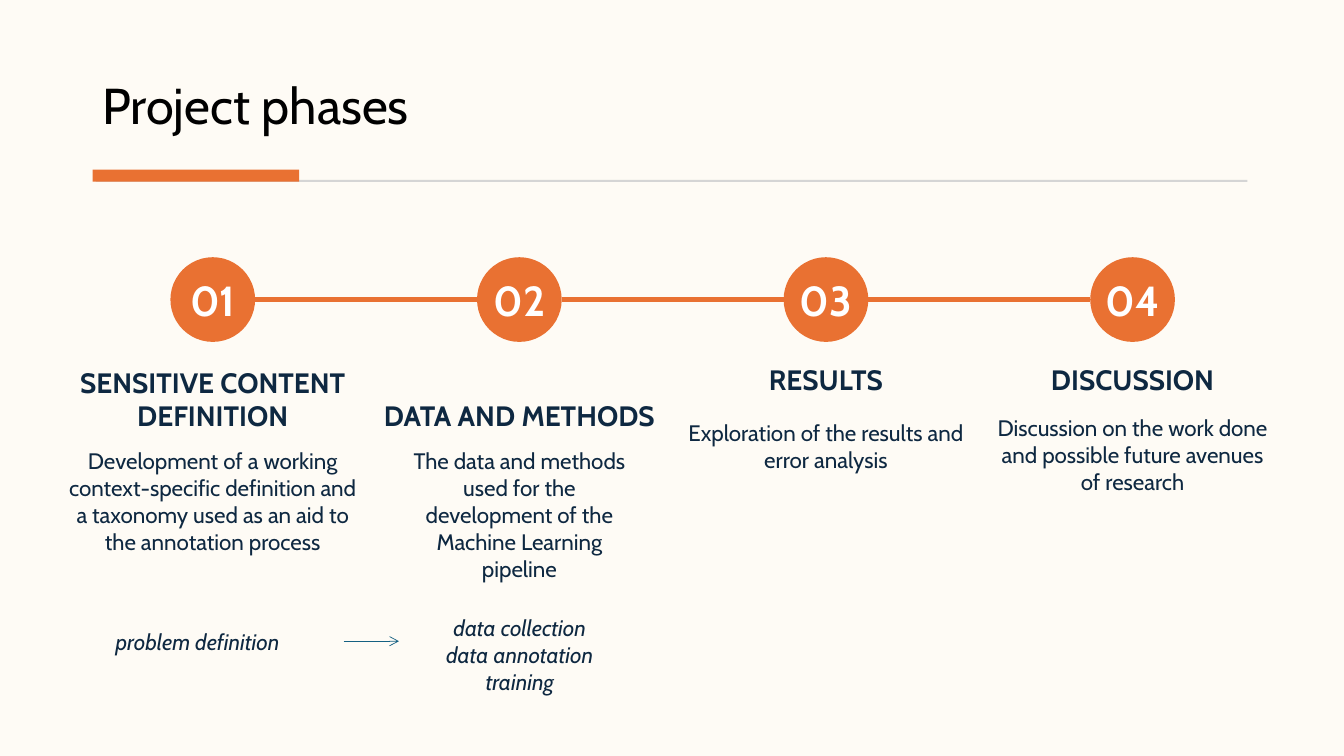
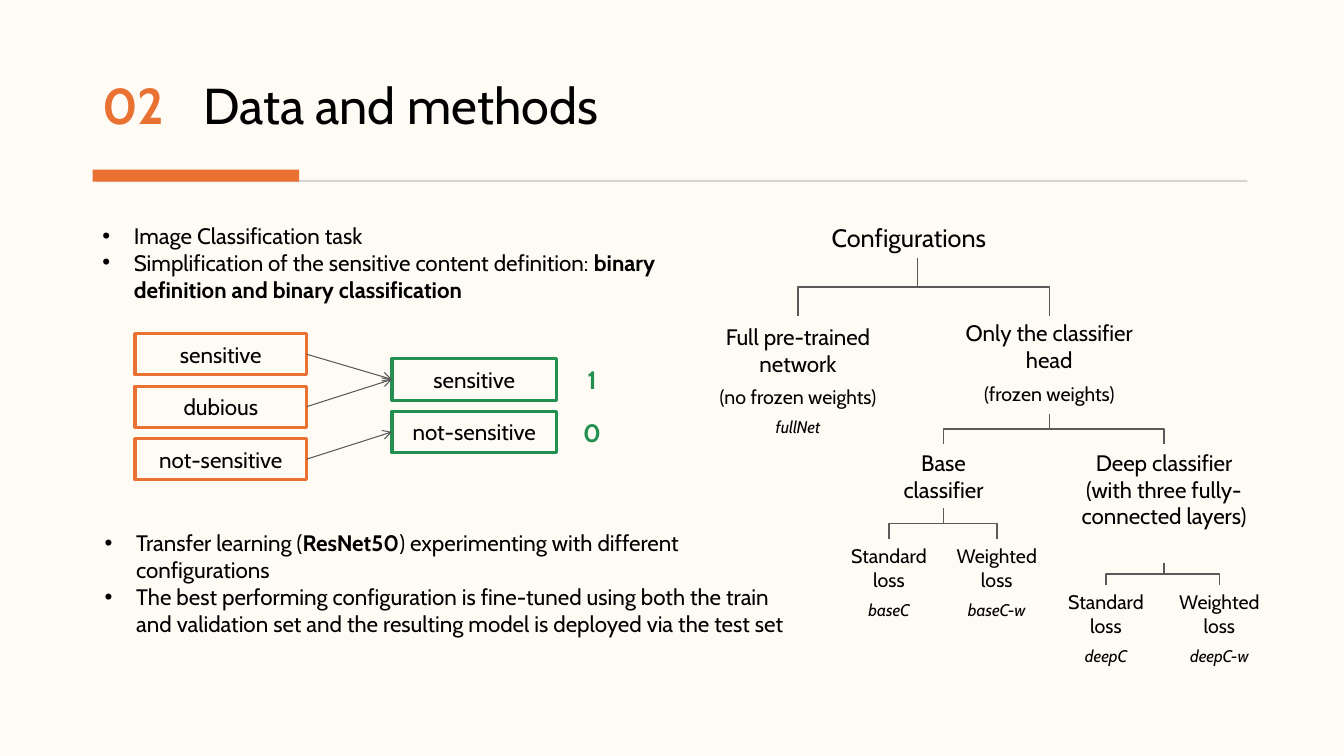
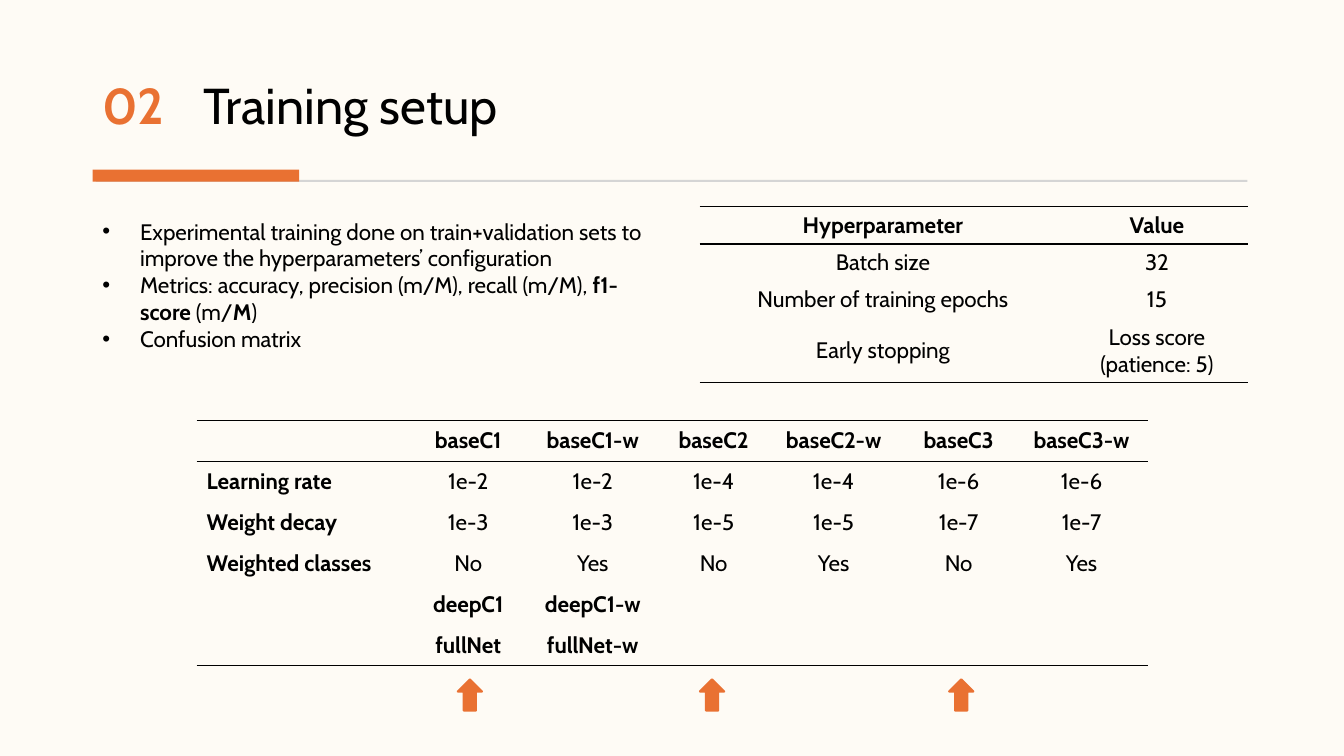
from lxml.etree import SubElement
from pptx import Presentation
from pptx.dml.color import RGBColor
from pptx.enum.shapes import MSO_CONNECTOR, MSO_SHAPE
from pptx.enum.text import MSO_ANCHOR, PP_ALIGN
from pptx.oxml.ns import qn
from pptx.util import Pt

CREAM, ORANGE, GREEN, NAVY = "FEFBF5", "E97132", "238F51", "0E2841"
BLUE, GREY, SILVER, BLACK, WHITE = "156082", "595959", "D5D5D5", "000000", "FFFFFF"
color = RGBColor.from_string
BOLD = {"bold": True}
CENTER = {"alignment": PP_ALIGN.CENTER}
MIDDLE = {"vertical_anchor": MSO_ANCHOR.MIDDLE}
BOTTOM = {"vertical_anchor": MSO_ANCHOR.BOTTOM}
NO_GRID_STYLE = "{2D5ABB26-0587-4C30-8999-92F81FD0307C}"


def write(frame, paragraphs, size=16, ink=BLACK, font=None, layout=None, block=None, indent=0, gap=0):
    """Fill a text frame; a paragraph is a string or a list of (text, font format) spans."""
    for name, value in {"word_wrap": True, **(block or {})}.items():
        setattr(frame, name, value)
    for index, spans in enumerate(paragraphs):
        para = frame.add_paragraph() if index else frame.paragraphs[0]
        for name, value in (layout or {}).items():
            setattr(para, name, value)
        if index and gap:
            para.space_before = Pt(gap)
        if indent:
            properties = para._p.get_or_add_pPr()
            properties.set("marL", str(Pt(indent)))
            properties.set("indent", str(Pt(-indent)))
            SubElement(properties, qn("a:buFont"), typeface="Arial")
            SubElement(properties, qn("a:buChar"), char="•")
        for text, changes in [(spans, {})] if isinstance(spans, str) else spans:
            span = para.add_run()
            span.text = text
            look = {"name": "Cabin", "size": Pt(size), "ink": ink, **(font or {}), **changes}
            span.font.color.rgb = color(look.pop("ink"))
            for name, value in look.items():
                setattr(span.font, name, value)


def draw_line(page, start, end, ink, width, kind=MSO_CONNECTOR.STRAIGHT, arrow=False):
    line = page.shapes.add_connector(kind, *map(Pt, (*start, *end)))
    line.line.color.rgb = color(ink)
    line.line.width = Pt(width)
    if arrow:
        SubElement(line.line._get_or_add_ln(), qn("a:tailEnd"), type="arrow")
    SubElement(line.element.spPr, qn("a:effectLst"))
    return line


deck = Presentation()
deck.slide_width, deck.slide_height = Pt(960), Pt(540)
background = deck.slide_master.background.fill
background.solid()
background.fore_color.rgb = color(CREAM)

# Pages with their shared title and band
number = ("02\t", {"ink": ORANGE, "bold": True})
pages = []
for title in (
    ["Project phases"],
    [[number, ("Data and methods", {})]],
    [[number, ("Training setup", {})]],
):
    page = deck.slides.add_slide(deck.slide_layouts[6])
    box = page.shapes.add_textbox(Pt(66), Pt(37.5), Pt(827), Pt(62.5))
    write(box.text_frame, title, 36, layout={"line_spacing": 0.9}, block=BOTTOM)
    for place, ink in (((68.5, 128.5, 822.5, 1.5), SILVER), ((66.2, 121.2, 147.5, 8.5), ORANGE)):
        band = page.shapes.add_shape(MSO_SHAPE.RECTANGLE, *map(Pt, place))
        band.shadow.inherit = False
        band.fill.solid()
        band.fill.fore_color.rgb = color(ink)
        band.line.fill.background()
    pages.append(page)
phases_page, methods_page, training_page = pages

# Project phases
first_center, pitch, diameter, axis = 152, 219, 60.5, 214
phases = [
    ("SENSITIVE CONTENT DEFINITION", 57, 316, 221,
     "Development of a working context-specific definition and a taxonomy used as an aid to the annotation process"),
    ("DATA AND METHODS", 57, 316, 176,
     "The data and methods used for the development of the Machine Learning pipeline"),
    ("RESULTS", 31, 296, 221, "Exploration of the results and error analysis"),
    ("DISCUSSION", 31, 292.5, 216,
     "Discussion on the work done and possible future avenues of research"),
]
for index, (heading, heading_height, top, width, description) in enumerate(phases):
    center = first_center + index * pitch
    circle = phases_page.shapes.add_shape(
        MSO_SHAPE.OVAL, Pt(center - diameter / 2), Pt(axis - diameter / 2), Pt(diameter), Pt(diameter))
    circle.shadow.inherit = False
    circle.fill.solid()
    circle.fill.fore_color.rgb = color(ORANGE)
    circle.line.fill.background()
    write(circle.text_frame, [f"{index + 1:02}"], 30, WHITE, BOLD, CENTER, {**MIDDLE, "word_wrap": False})
    if index:
        draw_line(phases_page, (center - pitch + diameter / 2, axis), (center - diameter / 2, axis), ORANGE, 3)
    box = phases_page.shapes.add_textbox(Pt(center - 108), Pt(255.5), Pt(216), Pt(heading_height))
    write(box.text_frame, [heading], 20, NAVY, BOLD, CENTER, BOTTOM)
    box = phases_page.shapes.add_textbox(Pt(center - width / 2), Pt(top), Pt(width), Pt(106))
    write(box.text_frame, [description], ink=NAVY, layout=CENTER)

for place, steps, layout in (
    ((75.5, 445, 152.5, 26.5), ["problem definition"], {}),
    ((305, 435, 132.5, 65.5), ["data collection", "data annotation", "training"], CENTER),
):
    box = phases_page.shapes.add_textbox(*map(Pt, place))
    write(box.text_frame, steps, ink=NAVY, font={"italic": True}, layout=layout)
draw_line(phases_page, (245.5, 458), (285, 458), BLUE, 0.5, arrow=True)

# Bulleted lists
for page, place, indent, points in (
    (methods_page, (66, 155, 447, 65.5), 22.5, [
        "Image Classification task",
        [("Simplification of the sensitive content definition: ", {}),
         ("binary definition and binary classification", BOLD)],
    ]),
    (methods_page, (67.7, 374.5, 507.5, 124), 22.5, [
        [("Transfer learning (", {}), ("ResNet50", BOLD), (") experimenting with different configurations", {})],
        "The best performing configuration is fine-tuned using both the train and validation set "
        "and the resulting model is deployed via the test set",
    ]),
    (training_page, (66, 152, 414, 124), 27, [
        "Experimental training done on train+validation sets to improve the hyperparameters’ configuration",
        [("Metrics: accuracy, precision (m/M), recall (m/M), ", {}), ("f1-score", BOLD),
         (" (m/", {}), ("M", BOLD), (")", {})],
        "Confusion matrix",
    ]),
):
    box = page.shapes.add_textbox(*map(Pt, place))
    write(box.text_frame, points, indent=indent)

# Mapping of three classes to two
box_height, box_pitch = 29.5, 37.5
for left, top, width, ink, labels in (
    (96.5, 238.3, 122.5, ORANGE, ["sensitive", "dubious", "not-sensitive"]),
    (280, 256.3, 117.5, GREEN, ["sensitive", "not-sensitive"]),
):
    for index, label in enumerate(labels):
        box = methods_page.shapes.add_shape(
            MSO_SHAPE.RECTANGLE, Pt(left), Pt(top + index * box_pitch), Pt(width), Pt(box_height))
        box.shadow.inherit = False
        box.fill.background()
        box.line.color.rgb = color(ink)
        box.line.width = Pt(2.25)
        write(box.text_frame, [label], layout=CENTER, block=MIDDLE)
for index, digit in enumerate("10"):
    box = methods_page.shapes.add_textbox(Pt(408), Pt(256.3 + index * box_pitch), Pt(30), Pt(box_height))
    write(box.text_frame, [digit], 18, GREEN, BOLD, CENTER, MIDDLE)
for start, end in ((253, 271), (290.5, 271), (328, 308.5)):
    draw_line(methods_page, (219, start), (280, end), GREY, 0.75, arrow=True)

# Tree of configurations
box = methods_page.shapes.add_textbox(Pt(587), Pt(155), Pt(137.5), Pt(29))
write(box.text_frame, ["Configurations"], 18)
nodes = [
    (570, 227, 145, 16, "Full pre-trained network", "(no frozen weights)", "fullNet"),
    (749.5, 224.5, 145, 16, "Only the classifier head", "(frozen weights)", ""),
    (674, 317, 103, 16, "Base classifier", "", ""),
    (831.5, 317, 144, 16, "Deep classifier (with three fully-connected layers)", "", ""),
    (635, 385, 79, 14, "Standard loss", "", "baseC"),
    (712, 385, 79, 14, "Weighted loss", "", "baseC-w"),
    (790, 418, 79, 14, "Standard loss", "", "deepC"),
    (871, 418, 79, 14, "Weighted loss", "", "deepC-w"),
]
for center, top, width, size, label, note, model in nodes:
    lines = [label]
    if note:
        lines.append([(note, {"size": Pt(14)})])
    if model:
        lines.append([(model, {"size": Pt(12), "italic": True})])
    box = methods_page.shapes.add_textbox(Pt(center - width / 2), Pt(top), Pt(width), Pt(62))
    write(box.text_frame, lines, size, layout=CENTER, gap=6)

for stem, top, bottom, children in (
    (655.5, 184, 226, (570, 749.5)),
    (749.5, 296, 317, (674, 831.5)),
    (674, 363, 385, (635, 712)),
    (831.5, 402, 418, (790, 871)),
):
    for child in children:
        # The elbow is laid out sideways about its middle, then turned upright
        middle_x, middle_y = (stem + child) / 2, (top + bottom) / 2
        half_width = (bottom - top) / 2 * (1 if child < stem else -1)
        half_height = abs(child - stem) / 2
        elbow = draw_line(methods_page, (middle_x - half_width, middle_y - half_height),
                          (middle_x + half_width, middle_y + half_height), GREY, 1, MSO_CONNECTOR.ELBOW)
        degrees = 90 if child < stem else 270
        elbow.element.spPr.get_or_add_xfrm().set("rot", str(degrees * 60000))

# Training tables
for left, top, widths, heights, bold_rows, has_row_names, rows in (
    (499.7, 147.6, [262, 129.5], [26.7, 26.7, 26.7, 45.2], {0}, False, [
        ["Hyperparameter", "Value"],
        ["Batch size", "32"],
        ["Number of training epochs", "15"],
        ["Early stopping", "Loss score (patience: 5)"],
    ]),
    (140.4, 300.2, [154.8, 78.5, 99.4, 73.4, 98, 80.6, 95], [29.2] * 6, {0, 4, 5}, True, [
        ["", "baseC1", "baseC1-w", "baseC2", "baseC2-w", "baseC3", "baseC3-w"],
        ["Learning rate", "1e-2", "1e-2", "1e-4", "1e-4", "1e-6", "1e-6"],
        ["Weight decay", "1e-3", "1e-3", "1e-5", "1e-5", "1e-7", "1e-7"],
        ["Weighted classes", "No", "Yes", "No", "Yes", "No", "Yes"],
        ["", "deepC1", "deepC1-w", "", "", "", ""],
        ["", "fullNet", "fullNet-w", "", "", "", ""],
    ]),
):
    table = training_page.shapes.add_table(
        len(rows), len(widths), Pt(left), Pt(top), Pt(sum(widths)), Pt(sum(heights))).table
    table.first_row = table.horz_banding = False
    table._tbl.tblPr.find(qn("a:tableStyleId")).text = NO_GRID_STYLE
    for column, width in zip(table.columns, widths):
        column.width = Pt(width)
    for row_index, (values, height) in enumerate(zip(rows, heights)):
        table.rows[row_index].height = Pt(height)
        edges = {0: ("a:lnT", "a:lnB"), len(rows) - 1: ("a:lnB",)}.get(row_index, ())
        for column_index, value in enumerate(values):
            cell = table.cell(row_index, column_index)
            for edge in edges:
                border = SubElement(cell._tc.get_or_add_tcPr(), qn(edge), w=str(Pt(1)))
                SubElement(SubElement(border, qn("a:solidFill")), qn("a:srgbClr"), val=BLACK)
            cell.fill.background()
            cell.vertical_anchor = MSO_ANCHOR.MIDDLE
            is_row_name = has_row_names and column_index == 0
            if value:
                write(cell.text_frame, [value], font={"bold": is_row_name or row_index in bold_rows},
                      layout={} if is_row_name else CENTER)

for left in (327, 500, 678):
    arrow = training_page.shapes.add_shape(MSO_SHAPE.UP_ARROW, Pt(left), Pt(485.3), Pt(17.3), Pt(22.3))
    arrow.shadow.inherit = False
    arrow.fill.solid()
    arrow.fill.fore_color.rgb = color(ORANGE)
    arrow.line.color.rgb = color(ORANGE)
    arrow.line.width = Pt(1.5)

deck.save("out.pptx")
